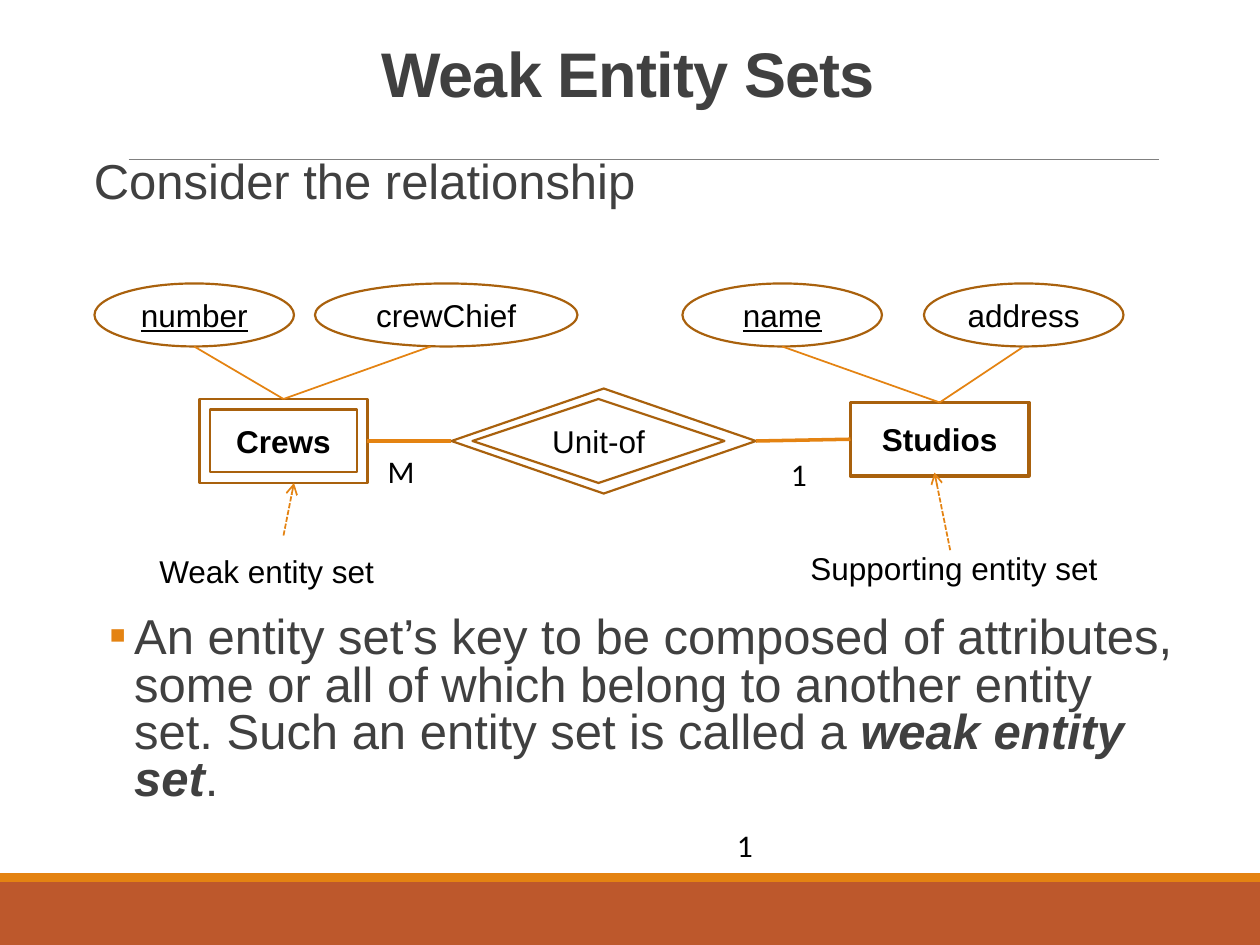
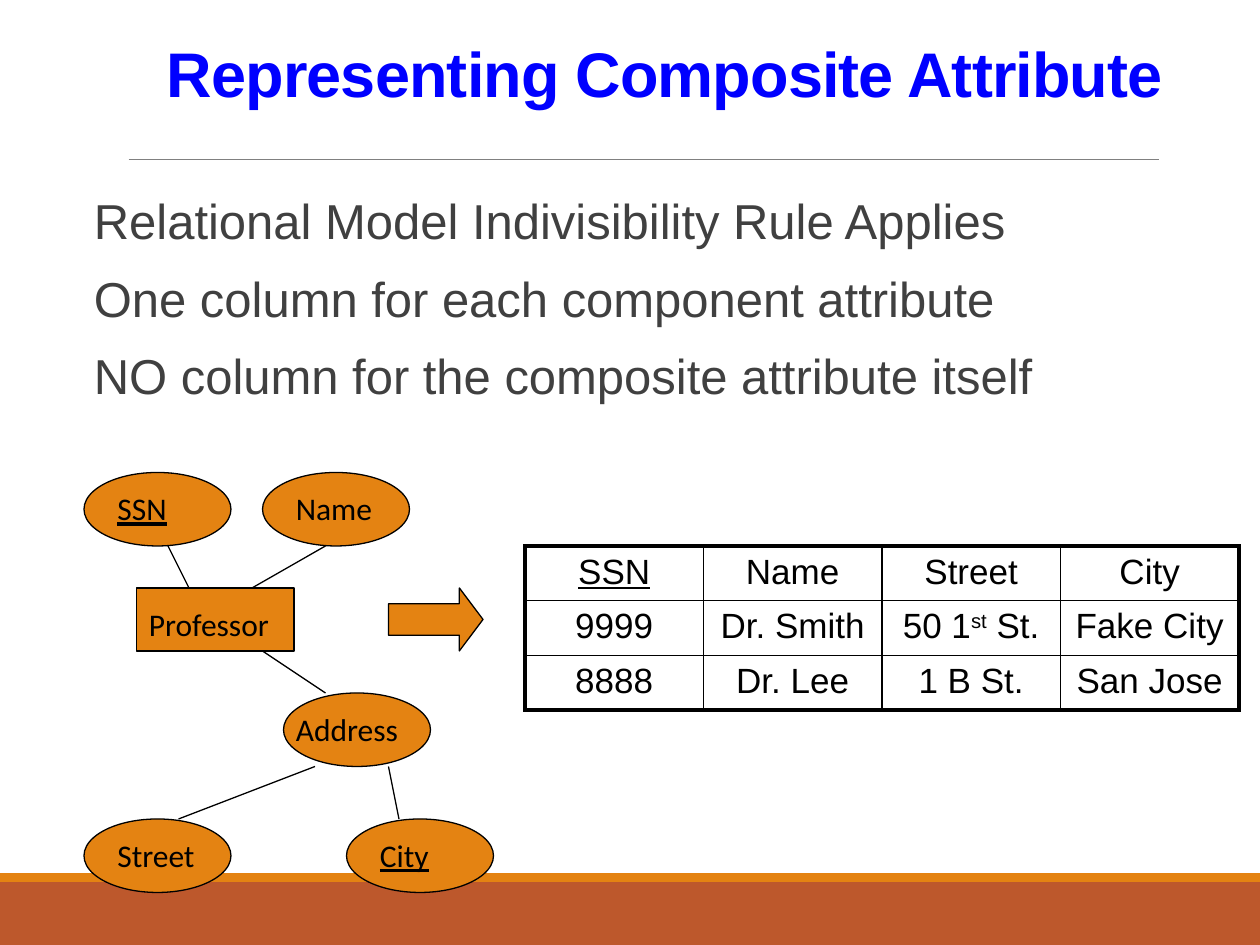
from dataclasses import dataclass

import lxml.etree
import pptx
import pptx.dml.color
import pptx.enum.dml
import pptx.enum.shapes
import pptx.enum.text
import pptx.oxml
import pptx.oxml.ns
import pptx.util

COLORS = {
    "band": "BD582C", "accent": "E48312", "outline": "A9610D", "rule": "808080",
    "body": "404040", "ink": "000000", "blue": "0000FF", "paper": "FFFFFF",
}
COLS, ROWS = 120, 90
TITLE_BOX = (7.7, 3.75, 104.2, 11)
ALIGN = pptx.enum.text.PP_ALIGN
ANCHOR = pptx.enum.text.MSO_ANCHOR
SHAPE = pptx.enum.shapes.MSO_SHAPE
TOP, LEFT, BOTTOM, RIGHT = range(4)


def rgb(name):
    return pptx.dml.color.RGBColor.from_string(COLORS[name])


def add_xml(parent, tag, **attributes):
    return lxml.etree.SubElement(parent, pptx.oxml.ns.qn(tag), attributes)


@dataclass
class Grid:
    slide: object
    left: float
    top: float
    unit: float

    def inner(self, col, row):
        return Grid(self.slide, self.left + col * self.unit, self.top + row * self.unit, self.unit)

    def point(self, col, row):
        return round(self.left + col * self.unit), round(self.top + row * self.unit)

    def box(self, col, row, width, height):
        return *self.point(col, row), round(width * self.unit), round(height * self.unit)


def write(paragraph, runs, size=18, font="Arial", color="ink", align=ALIGN.LEFT):
    paragraph.alignment = align
    for text, style in runs:
        run = paragraph.add_run()
        run.text = text
        run.font.size = pptx.util.Pt(size)
        run.font.name = font
        run.font.color.rgb = rgb(color)
        run.font.bold = "b" in style
        run.font.italic = "i" in style
        run.font.underline = "u" in style
        if "^" in style:
            run.font._element.set("baseline", "30000")


def add_shape(grid, kind, box, fill=None, line=None, width=1.25, text="", style=""):
    shape = grid.slide.shapes.add_shape(kind, *grid.box(*box))
    shape.shadow.inherit = False
    if fill:
        shape.fill.solid()
        shape.fill.fore_color.rgb = rgb(fill)
    else:
        shape.fill.background()
    if line:
        shape.line.color.rgb = rgb(line)
        shape.line.width = pptx.util.Pt(width)
    else:
        shape.line.fill.background()
    if text:
        frame = shape.text_frame
        frame.word_wrap = False
        frame.vertical_anchor = ANCHOR.MIDDLE
        write(frame.paragraphs[0], [(text, style)], align=ALIGN.CENTER)
    return shape


def add_line(grid, start, end, color, width, begin=None, finish=None, arrow=False):
    line = grid.slide.shapes.add_connector(
        pptx.enum.shapes.MSO_CONNECTOR.STRAIGHT, *grid.point(*start), *grid.point(*end))
    if begin:
        line.begin_connect(*begin)
    if finish:
        line.end_connect(*finish)
    line.line.color.rgb = rgb(color)
    line.line.width = pptx.util.Pt(width)
    if arrow:
        line.line.dash_style = pptx.enum.dml.MSO_LINE.SQUARE_DOT
        add_xml(line.line._get_or_add_ln(), "a:tailEnd", type="arrow")
    add_xml(line._element.spPr, "a:effectLst")


def add_label(grid, box, text, font="Calibri", style="", wrap=True):
    frame = grid.slide.shapes.add_textbox(*grid.box(*box)).text_frame
    frame.word_wrap = wrap
    write(frame.paragraphs[0], [(text, style)], font=font)


def add_body(grid, box, paragraphs, spacing):
    frame = grid.slide.shapes.add_textbox(*grid.box(*box)).text_frame
    frame.word_wrap = True
    frame.margin_left = frame.margin_right = 0
    for index, (runs, before, bulleted) in enumerate(paragraphs):
        paragraph = frame.add_paragraph() if index else frame.paragraphs[0]
        paragraph.line_spacing = spacing
        paragraph.space_before = pptx.util.Pt(before)
        paragraph.space_after = pptx.util.Pt(2)
        write(paragraph, runs, 28, color="body")
        properties = paragraph._p.get_or_add_pPr()
        indent, hang = (0.42, 0.2) if bulleted else (0.1, 0)
        properties.set("marL", str(pptx.util.Inches(indent)))
        properties.set("indent", str(-pptx.util.Inches(hang)))
        if bulleted:
            add_xml(add_xml(properties, "a:buClr"), "a:srgbClr", val=COLORS["accent"])
            add_xml(properties, "a:buFont", typeface="Calibri")
            add_xml(properties, "a:buChar", char="▪")


def start_slide(deck, title, color, align):
    slide = deck.slides.add_slide(deck.slide_layouts[5])
    page = Grid(slide, 0, 0, deck.slide_width / COLS)
    add_shape(page, SHAPE.RECTANGLE, (0, 84, COLS, 6), "band")
    add_shape(page, SHAPE.RECTANGLE, (0, 83.15, COLS, 0.85), "accent")
    add_line(page, (12.25, 15.15), (110.4, 15.15), "rule", 0.5)
    heading = slide.shapes.title
    heading.left, heading.top, heading.width, heading.height = page.box(*TITLE_BOX)
    frame = heading.text_frame
    frame.auto_size = pptx.enum.text.MSO_AUTO_SIZE.NONE
    frame.vertical_anchor = ANCHOR.TOP
    paragraph = frame.paragraphs[0]
    paragraph.line_spacing = 0.85
    write(paragraph, [(title, "b")], 36, color=color, align=align)
    paragraph.runs[0].font._element.set("spc", "-50")
    return page


def draw_relationship(grid):
    crews = add_shape(grid, SHAPE.RECTANGLE, (10, 11, 16, 8), line="outline")
    unit_of = add_shape(grid, SHAPE.DIAMOND, (34, 10, 29, 10), line="outline")
    studios = add_shape(grid, SHAPE.RECTANGLE, (72, 11.33, 17, 7), line="outline", width=2,
                        text="Studios", style="b")
    add_shape(grid, SHAPE.RECTANGLE, (11, 12, 14, 6), line="outline", text="Crews", style="b")
    add_shape(grid, SHAPE.DIAMOND, (36, 11, 24, 8), line="outline", text="Unit-of")
    add_line(grid, (63, 15), (72, 14.83), "accent", 2, (unit_of, RIGHT), (studios, LEFT))
    add_line(grid, (26, 15), (34, 15), "accent", 2, (crews, RIGHT), (unit_of, LEFT))

    attributes = [
        ("number", "u", 0, 19, 9.5, crews), ("crewChief", "", 21, 25, 32, crews),
        ("name", "u", 56, 19, 65.5, studios), ("address", "", 79, 19, 88.5, studios),
    ]
    for text, style, col, width, foot, entity in attributes:
        add_shape(grid, SHAPE.OVAL, (col, 0, width, 6), line="outline", text=text, style=style)
        add_line(grid, (foot, 6), (foot, 11), "accent", 1, finish=(entity, TOP))

    notes = [
        ("Weak entity set", (5, 25, 23, 2.6), (18, 24), (19, 19)),
        ("Supporting entity set", (67, 24.7, 30, 2.3), (81.5, 25.4), (80, 18)),
    ]
    for text, box, start, end in notes:
        add_label(grid, box, text, "Arial", wrap=False)
        add_line(grid, start, end, "accent", 1, arrow=True)
    for text, col, row in [("1", 65.15, 15.75), ("M", 26.75, 15.5)]:
        add_label(grid, (col, row, 5.5, 4.8), text)


def draw_composite(grid):
    nodes = [
        ("Professor", "", SHAPE.RECTANGLE, (5, 11, 15, 6), 0, 16),
        ("SSN", "u", SHAPE.OVAL, (0, 0, 14, 7), 2, 10),
        ("Name", "", SHAPE.OVAL, (17, 0, 14, 7), 2, 11),
        ("Address", "", SHAPE.OVAL, (19, 21, 14, 7), 0, 14),
        ("Street", "", SHAPE.OVAL, (0, 33, 14, 7), 2, 11),
        ("City", "u", SHAPE.OVAL, (25, 33, 14, 7), 2, 10),
    ]
    for text, style, kind, box, inset, width in nodes:
        add_shape(grid, kind, box, "accent", "ink", 0.75)
        add_label(grid, (box[0] + inset, box[1] + 1, width, 4.8), text, style=style)
    links = [
        ((23, 21), (17, 17)), ((8, 7), (10, 11)), ((23, 7), (16, 11)),
        ((22, 28), (9, 33)), ((29, 28), (30, 33)),
    ]
    for start, end in links:
        add_line(grid, start, end, "ink", 0.75)


def set_borders(cell, widths):
    properties = cell._tc.get_or_add_tcPr()
    for index, (side, width) in enumerate(widths.items()):
        border = pptx.oxml.parse_xml(
            f'<a:{side} {pptx.oxml.ns.nsdecls("a")} w="{pptx.util.Pt(width)}"><a:solidFill>'
            f'<a:srgbClr val="{COLORS["ink"]}"/></a:solidFill></a:{side}>')
        properties.insert(index, border)


def draw_table(grid, width, height):
    records = [
        [[("SSN", "u")], [("Name", "")], [("Street", "")], [("City", "")]],
        [[("9999", "")], [("Dr. Smith", "")], [("50 1", ""), ("st", "^"), (" St.", "")],
         [("Fake City", "")]],
        [[("8888", "")], [("Dr. Lee", "")], [("1 B St.", "")], [("San Jose", "")]],
    ]
    last_row, last_col = len(records) - 1, len(records[0]) - 1
    table = grid.slide.shapes.add_table(
        last_row + 1, last_col + 1, *grid.box(0, 0, width, height)).table
    table.first_row = table.horz_banding = False
    for row, record in enumerate(records):
        for col, runs in enumerate(record):
            cell = table.cell(row, col)
            cell.vertical_anchor = ANCHOR.TOP
            cell.fill.solid()
            cell.fill.fore_color.rgb = rgb("paper")
            write(cell.text_frame.paragraphs[0], runs, 20, align=ALIGN.CENTER)
            set_borders(cell, {
                "lnL": 2.25 if col == 0 else 1,
                "lnR": 2.25 if col == last_col else 1,
                "lnT": 2.25 if row == 0 else 1,
                "lnB": 2.25 if row == last_row else 1,
            })


def build_weak_entities(deck):
    page = start_slide(deck, "Weak Entity Sets", "body", ALIGN.CENTER)
    definition = [
        ("An entity set’s key to be composed of attributes, some or all of which belong to "
         "another entity set. Such an entity set is called a ", ""),
        ("weak entity set", "bi"), (".", ""),
    ]
    add_body(page, (7.75, 14.8, 104.2, 66.5), [
        ([("Consider the relationship", "")], 12, False), (definition, 231.5, True)], 0.8)
    draw_relationship(page.inner(9, 27))
    add_label(page, (69, 78.1, 5.5, 4.8), "1")


def build_composite_attribute(deck):
    page = start_slide(deck, "Representing Composite Attribute", "blue", ALIGN.RIGHT)
    rules = [
        "Relational Model Indivisibility Rule Applies",
        "One column for each component attribute",
        "NO column for the composite attribute itself",
    ]
    add_body(page, (7.75, 18.2, 108, 23), [([(rule, "")], 12, False) for rule in rules], 0.9)
    draw_composite(page.inner(8, 45))
    draw_table(page.inner(50, 52), 68, 15.6)
    becomes = add_shape(page, SHAPE.RIGHT_ARROW, (37, 56, 9, 6), "accent", "ink", 0.75)
    becomes.adjustments[0], becomes.adjustments[1] = 0.5, 0.375


def main():
    deck = pptx.Presentation()
    deck.slide_width, deck.slide_height = pptx.util.Inches(10), pptx.util.Inches(7.5)
    build_weak_entities(deck)
    build_composite_attribute(deck)
    deck.save("out.pptx")


if __name__ == "__main__":
    main()
